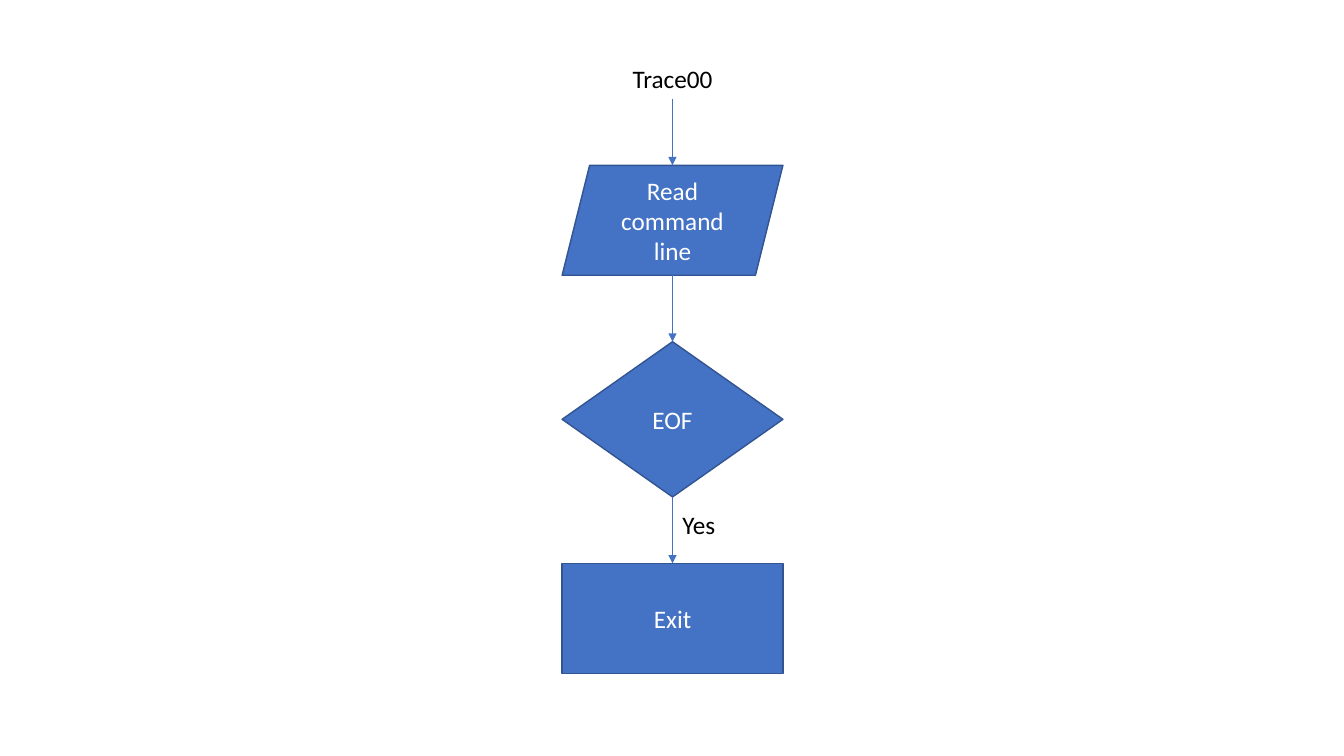
from lxml import etree
from pptx import Presentation
from pptx.dml import color
from pptx.enum import shapes, text
from pptx.oxml import ns
from pptx.util import Inches, Pt

COLORS = {"fill": "4472C4", "outline": "325491", "white": "FFFFFF", "black": "000000"}
CENTER = 6.67
STEP_WIDTH = 2.19
GAP = 0.66
FIRST_TOP = 1.64


def rgb(name):
    return color.RGBColor.from_string(COLORS[name])


def write(box, words, ink, align):
    frame = box.text_frame
    frame.text = words
    frame.word_wrap = True
    para = frame.paragraphs[0]
    para.alignment = align
    font = para.runs[0].font
    font.name = "Calibri"
    font.size = Pt(18)
    font.color.rgb = rgb(ink)


deck = Presentation()
deck.slide_width = Inches(13.33)
deck.slide_height = Inches(7.5)
page = deck.slides.add_slide(deck.slide_layouts[6])

steps = [
    ("Read command line", shapes.MSO_SHAPE.PARALLELOGRAM, 1.09),
    ("EOF", shapes.MSO_SHAPE.FLOWCHART_DECISION, 1.54),
    ("Exit", shapes.MSO_SHAPE.RECTANGLE, 1.09),
]
top = FIRST_TOP
for words, kind, height in steps:
    step = page.shapes.add_shape(
        kind, Inches(CENTER - STEP_WIDTH / 2), Inches(top), Inches(STEP_WIDTH), Inches(height)
    )
    step.shadow.inherit = False
    step.fill.solid()
    step.fill.fore_color.rgb = rgb("fill")
    step.line.color.rgb = rgb("outline")
    step.line.width = Pt(1)
    write(step, words, "white", text.PP_ALIGN.CENTER)
    step.text_frame.vertical_anchor = text.MSO_ANCHOR.MIDDLE

    arrow = page.shapes.add_connector(
        shapes.MSO_CONNECTOR.STRAIGHT,
        Inches(CENTER), Inches(top - GAP), Inches(CENTER), Inches(top),
    )
    arrow.line.color.rgb = rgb("fill")
    arrow.line.width = Pt(0.5)
    etree.SubElement(arrow.line._get_or_add_ln(), ns.qn("a:tailEnd"), type="triangle")
    etree.SubElement(arrow._element.spPr, ns.qn("a:effectLst"))
    top += height + GAP

labels = [
    ("Trace00", 5.98, 0.58, 1.38, text.PP_ALIGN.CENTER),
    ("Yes", CENTER, 5, 0.57, text.PP_ALIGN.LEFT),
]
for words, left, label_top, width, align in labels:
    label = page.shapes.add_textbox(Inches(left), Inches(label_top), Inches(width), Inches(0.4))
    write(label, words, "black", align)
    label.text_frame.auto_size = text.MSO_AUTO_SIZE.SHAPE_TO_FIT_TEXT

deck.save("out.pptx")
